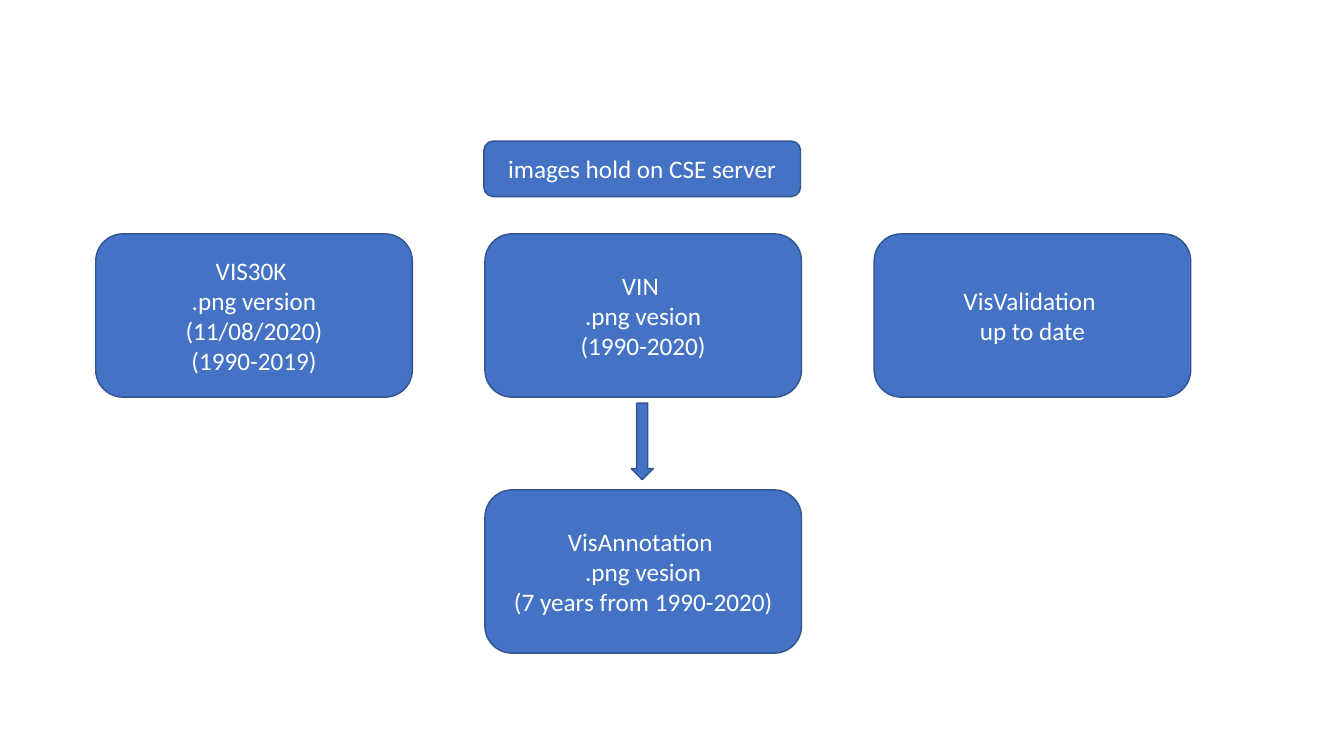
from dataclasses import dataclass

from pptx import Presentation
from pptx.dml.color import RGBColor
from pptx.enum.shapes import MSO_SHAPE
from pptx.enum.text import MSO_ANCHOR, PP_ALIGN
from pptx.util import Inches, Pt

ROUNDED = MSO_SHAPE.ROUNDED_RECTANGLE
DOWN_ARROW = MSO_SHAPE.DOWN_ARROW
MIDDLE = MSO_ANCHOR.MIDDLE
CENTER = PP_ALIGN.CENTER


@dataclass(frozen=True)
class Theme:
    fill: RGBColor = RGBColor(0x44, 0x72, 0xC4)
    line: RGBColor = RGBColor(0x32, 0x54, 0x91)
    text: RGBColor = RGBColor(0xFF, 0xFF, 0xFF)
    font: str = "Calibri"
    text_size: Pt = Pt(18)
    line_width: Pt = Pt(1)


class Diagram:
    def __init__(self, page, theme):
        self.page = page
        self.theme = theme

    def shape(self, kind, left, top, width, height):
        shape = self.page.shapes.add_shape(
            kind, Inches(left), Inches(top), Inches(width), Inches(height))
        shape.shadow.inherit = False
        shape.fill.solid()
        shape.fill.fore_color.rgb = self.theme.fill
        shape.line.color.rgb = self.theme.line
        shape.line.width = self.theme.line_width
        return shape

    def box(self, left, top, width, height, lines):
        frame = self.shape(ROUNDED, left, top, width, height).text_frame
        frame.word_wrap = True
        frame.vertical_anchor = MIDDLE
        for index, line in enumerate(lines):
            para = frame.add_paragraph() if index else frame.paragraphs[0]
            para.alignment = CENTER
            span = para.add_run()
            span.text = line
            span.font.name = self.theme.font
            span.font.size = self.theme.text_size
            span.font.color.rgb = self.theme.text

    def arrow(self, left, top, width, height):
        self.shape(DOWN_ARROW, left, top, width, height)


BOX_WIDTH, BOX_HEIGHT = 3.14, 1.62
FIRST_LEFT, COLUMN_STEP = 0.95, 3.86
DATASET_TOP, ANNOTATION_TOP = 2.32, 4.86
MIDDLE_LEFT = FIRST_LEFT + COLUMN_STEP

DATASETS = [
    ["VIS30K ", ".png version", "(11/08/2020)", "(1990-2019)"],
    ["VIN ", ".png vesion", "(1990-2020)"],
    ["VisValidation ", "up to date"],
]
ANNOTATION = ["VisAnnotation ", ".png vesion", "(7 years from 1990-2020)"]

deck = Presentation()
deck.slide_width = Inches(13.33)
deck.slide_height = Inches(7.5)
page = deck.slides.add_slide(deck.slide_layouts[6])
diagram = Diagram(page, Theme())

for column, lines in enumerate(DATASETS):
    diagram.box(FIRST_LEFT + column * COLUMN_STEP, DATASET_TOP,
                BOX_WIDTH, BOX_HEIGHT, lines)
diagram.box(MIDDLE_LEFT, ANNOTATION_TOP, BOX_WIDTH, BOX_HEIGHT, ANNOTATION)
diagram.arrow(6.26, 4, 0.22, 0.76)
diagram.box(4.8, 1.4, BOX_WIDTH, 0.55, ["images hold on CSE server"])

deck.save("out.pptx")
